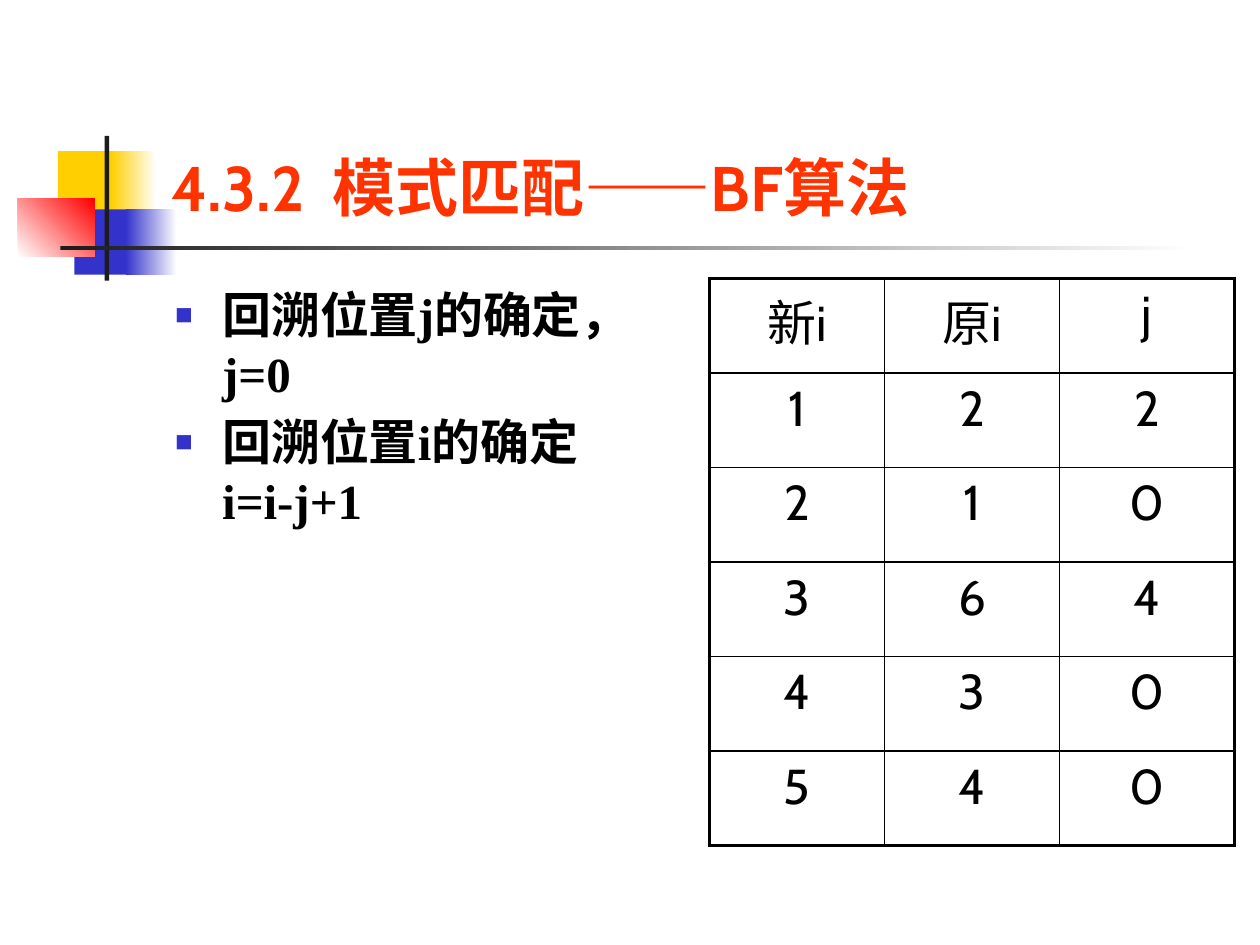
from dataclasses import dataclass
from typing import Optional

from lxml.etree import SubElement
from pptx import Presentation
from pptx.dml.color import RGBColor
from pptx.enum.shapes import MSO_SHAPE
from pptx.enum.text import MSO_ANCHOR, MSO_AUTO_SIZE, PP_ALIGN
from pptx.oxml.ns import qn
from pptx.util import Cm, Pt

BLACK, WHITE, DARK = "000000", "FFFFFF", "1C1C1C"
YELLOW, BLUE, RED, ORANGE = "FFCF01", "3333CC", "FF0000", "FF3300"
CONTENT_TOP, CONTENT_WIDTH, CONTENT_HEIGHT = 5.61, 10.59, 11.43
THICK, THIN = 2.25, 1


@dataclass
class Block:
    """Decorative rectangle in cm; end_color makes it a gradient."""
    left: float
    top: float
    width: float
    height: float
    color: str
    end_color: Optional[str] = None
    angle: float = 0


BLOCKS = [
    Block(1.17, 3.05, 1.22, 1.32, YELLOW),
    Block(2.24, 3.05, 0.91, 1.32, YELLOW, WHITE),
    Block(1.5, 4.22, 1.17, 1.32, BLUE),
    Block(2.54, 4.22, 1.02, 1.32, BLUE, WHITE),
    Block(0.36, 4.01, 1.55, 1.17, WHITE, RED, 45),
    Block(2.11, 2.74, 0.09, 2.92, DARK),
    Block(1.22, 4.95, 22.86, 0.09, DARK, WHITE),
]
TITLE_PARTS = [("4.3.2  模式匹配", "Cabin"), ("——", "Arial"), ("BF算法", "Cabin")]
POINTS = ["回溯位置j的确定，j=0", "回溯位置i的确定\vi=i-j+1"]
TRACE = [
    ("新i", "原i", "j"),
    ("1", "2", "2"),
    ("2", "1", "0"),
    ("3", "6", "4"),
    ("4", "3", "0"),
    ("5", "4", "0"),
]


def rgb(color: str) -> RGBColor:
    return RGBColor.from_string(color)


def format_run(run, color: str, **values) -> None:
    for attribute, value in values.items():
        setattr(run.font, attribute, value)
    run.font.color.rgb = rgb(color)


def place(shape, left: float, top: float, width: float, height: float) -> None:
    lengths = {"left": left, "top": top, "width": width, "height": height}
    for attribute, length in lengths.items():
        setattr(shape, attribute, Cm(length))


def draw_block(slide, block: Block) -> None:
    shape = slide.shapes.add_shape(
        MSO_SHAPE.RECTANGLE, Cm(block.left), Cm(block.top), Cm(block.width), Cm(block.height))
    shape.shadow.inherit = False
    shape.line.fill.background()
    if block.end_color is None:
        shape.fill.solid()
        shape.fill.fore_color.rgb = rgb(block.color)
        return
    shape.fill.gradient()
    shape.fill.gradient_angle = block.angle
    for stop, color in zip(shape.fill.gradient_stops, (block.color, block.end_color)):
        stop.color.rgb = rgb(color)


def draw_title(slide) -> None:
    title = slide.shapes.title
    place(title, 3.2, 0.58, 21.64, 4.06)
    slide.shapes.element.append(title.element)  # in front of the blocks
    frame = title.text_frame
    frame.vertical_anchor = MSO_ANCHOR.BOTTOM
    frame.auto_size = MSO_AUTO_SIZE.NONE
    heading = frame.paragraphs[0]
    heading.alignment = PP_ALIGN.LEFT
    for words, font_name in TITLE_PARTS:
        run = heading.add_run()
        run.text = words
        format_run(run, ORANGE, size=Pt(36), bold=True, name=font_name)


def add_bullet(paragraph) -> None:
    properties = paragraph._p.get_or_add_pPr()
    properties.set("marL", str(Cm(0.95)))
    properties.set("indent", str(-Cm(0.95)))
    SubElement(SubElement(properties, qn("a:buClr")), qn("a:srgbClr"), val=BLUE)
    SubElement(properties, qn("a:buSzPct"), val="60000")
    SubElement(properties, qn("a:buFont"), typeface="Arial")
    SubElement(properties, qn("a:buChar"), char="■")


def draw_points(slide) -> None:
    box = slide.shapes.add_textbox(
        Cm(3.28), Cm(CONTENT_TOP), Cm(CONTENT_WIDTH), Cm(CONTENT_HEIGHT))
    frame = box.text_frame
    frame.word_wrap = True
    for index, point in enumerate(POINTS):
        paragraph = frame.add_paragraph() if index else frame.paragraphs[0]
        paragraph.text = point
        add_bullet(paragraph)
        if index:
            paragraph.space_before = Pt(5.6)
        for run in paragraph.runs:
            format_run(run, BLACK, size=Pt(28), bold=True, name="Times New Roman")


def set_borders(cell, outer_sides: dict[str, bool]) -> None:
    """Draw the sides on the table's edge thick and the others thin."""
    properties = cell._tc.get_or_add_tcPr()
    for side, is_outer in outer_sides.items():
        width = Pt(THICK if is_outer else THIN)
        border = SubElement(properties, qn(f"a:ln{side}"), w=str(width))
        SubElement(SubElement(border, qn("a:solidFill")), qn("a:srgbClr"), val=BLACK)


def draw_trace_table(slide) -> None:
    row_count, column_count = len(TRACE), len(TRACE[0])
    table = slide.shapes.add_table(
        row_count, column_count, Cm(14.3), Cm(CONTENT_TOP),
        Cm(CONTENT_WIDTH), Cm(CONTENT_HEIGHT)).table
    table.first_row = table.horz_banding = False
    for row, values in enumerate(TRACE):
        for column, value in enumerate(values):
            cell = table.cell(row, column)
            set_borders(cell, {
                "L": column == 0,
                "R": column == column_count - 1,
                "T": row == 0,
                "B": row == row_count - 1,
            })
            cell.fill.background()
            paragraph = cell.text_frame.paragraphs[0]
            paragraph.alignment = PP_ALIGN.CENTER
            run = paragraph.add_run()
            run.text = value
            format_run(run, BLACK, size=Pt(28), bold=False, name="Cabin")


def main() -> None:
    presentation = Presentation()
    presentation.slide_width, presentation.slide_height = Cm(25.4), Cm(19.05)
    slide = presentation.slides.add_slide(presentation.slide_layouts[5])
    for block in BLOCKS:
        draw_block(slide, block)
    draw_title(slide)
    draw_points(slide)
    draw_trace_table(slide)
    presentation.save("out.pptx")


if __name__ == "__main__":
    main()
